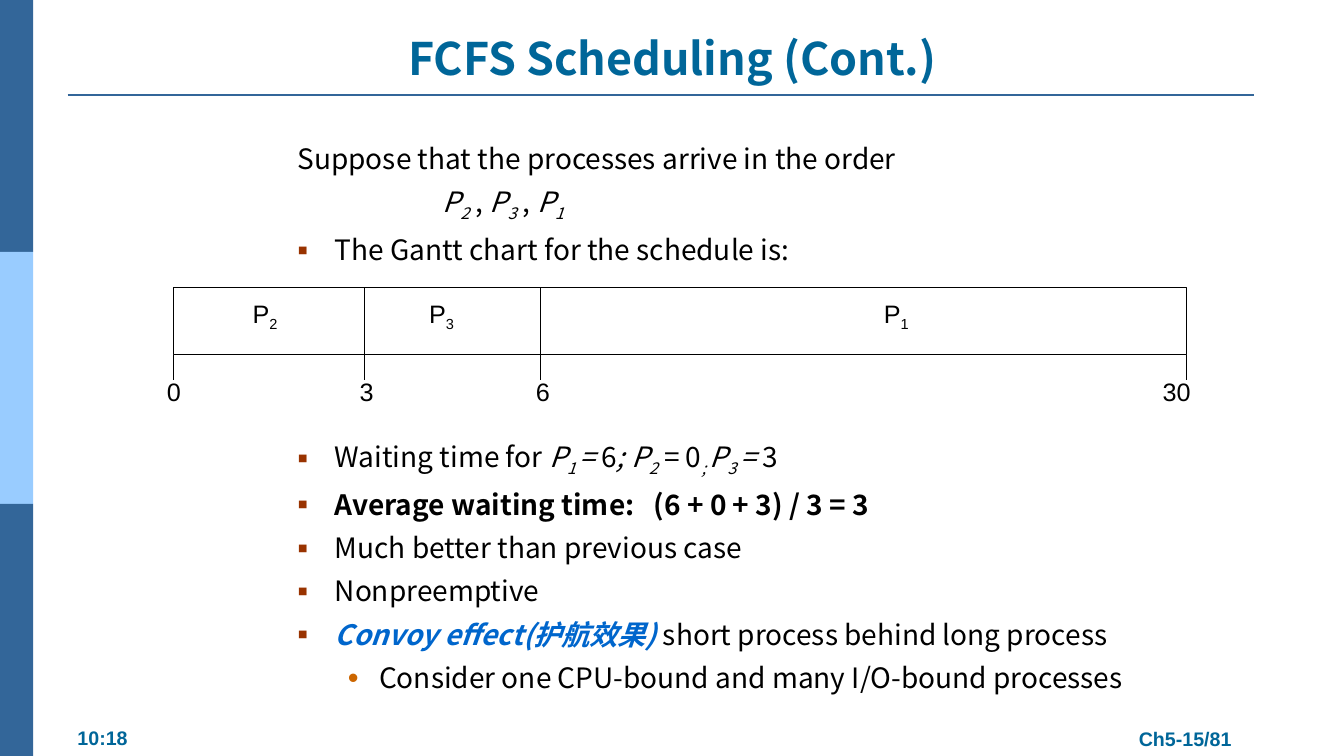
import pptx
import pptx.dml.color
import pptx.enum.shapes
import pptx.enum.text
import pptx.oxml.ns
import pptx.util
from lxml import etree

Inches = pptx.util.Inches
Pt = pptx.util.Pt
ALIGN = pptx.enum.text.PP_ALIGN
ANCHOR = pptx.enum.text.MSO_ANCHOR
COLORS = {
    "band": "336699", "band_light": "99CCFF", "heading": "006699",
    "text": "000000", "paper": "FFFFFF", "key_term": "0066CC",
    "square": "993300", "dot": "CC6600",
}
HEAD_FONT = "Noto Sans CJK SC"
LABEL_FONT = "Arial"

ORDER = [("P", "i"), ("2", "is"), (" , ", ""), ("P", "i"), ("3", "is"),
         (" , ", ""), ("P", "i"), ("1", "is")]
WAITING = [("Waiting time for ", ""), ("P", "i"), ("1 ", "is"), ("=", "i"),
           (" 6", ""), ("; P", "i"), ("2", "is"), (" = 0", ""), ("; ", "is"),
           ("P", "i"), ("3 ", "is"), ("= ", "i"), ("3", "")]
AVERAGE = [("Average waiting time:", "b"), (" ", "bw"),
           ("(6 + 0 + 3) / 3 = 3", "b")]
CONVOY = [("Convoy effect(护航效果) ", "bik"),
          ("short process behind long process", "")]

SQUARE = ("▪", "square", 0.37, -0.37)
DOT = ("•", "dot", 0.81, -0.31)
GAP = 7
CHART_GAP = 123.5
BODY = [
    ([("Suppose that the processes arrive in the order", "")],
     (None, None, 0.37, -0.37), 0),
    (ORDER, (None, None, 1.44, 0), GAP),
    ([("The Gantt chart for the schedule is:", "")], SQUARE, GAP),
    (WAITING, SQUARE, CHART_GAP),
    (AVERAGE, SQUARE, GAP),
    ([("Much better than previous case", "")], SQUARE, GAP),
    ([("Nonpreemptive", "")], SQUARE, GAP),
    (CONVOY, SQUARE, GAP),
    ([("Consider one CPU-bound and many I/O-bound processes", "")], DOT, GAP),
]


def rgb(name):
    return pptx.dml.color.RGBColor.from_string(COLORS[name])


def sub(parent, tag, **attributes):
    return etree.SubElement(parent, pptx.oxml.ns.qn(tag), **attributes)


def add_run(paragraph, text, size, font, color="text", style=""):
    run = paragraph.add_run()
    run.text = text
    run.font.size = Pt(size)
    run.font.bold = "b" in style
    run.font.italic = "i" in style
    run.font.color.rgb = rgb("key_term" if "k" in style else color)
    run.font.name = font
    properties = run.font._element
    sub(properties, "a:ea", typeface=font)
    if "s" in style:
        properties.set("baseline", "-25000")
    if "w" in style:
        properties.set("spc", "900")


def set_bullet(paragraph, char, color, margin, indent):
    properties = paragraph._p.get_or_add_pPr()
    properties.set("marL", str(Inches(margin)))
    properties.set("indent", str(Inches(indent)))
    if char is None:
        sub(properties, "a:buNone")
        return
    sub(sub(properties, "a:buClr"), "a:srgbClr", val=COLORS[color])
    sub(properties, "a:buSzPct", val="110000")
    sub(properties, "a:buChar", char=char)


def place(shape, left, top, width, height):
    shape.left, shape.top = Inches(left), Inches(top)
    shape.width, shape.height = Inches(width), Inches(height)


def add_rect(shapes, left, top, width, height, fill, line=None):
    rect = shapes.add_shape(
        pptx.enum.shapes.MSO_SHAPE.RECTANGLE,
        Inches(left), Inches(top), Inches(width), Inches(height))
    rect.shadow.inherit = False
    rect.fill.solid()
    rect.fill.fore_color.rgb = rgb(fill)
    if line:
        rect.line.color.rgb = rgb(line)
        rect.line.width = Pt(0.75)
    else:
        rect.line.fill.background()


def add_line(shapes, x1, y1, x2, y2, color, width):
    line = shapes.add_connector(
        pptx.enum.shapes.MSO_CONNECTOR.STRAIGHT,
        Inches(x1), Inches(y1), Inches(x2), Inches(y2))
    line.line.color.rgb = rgb(color)
    line.line.width = Pt(width)
    sub(line._element.spPr, "a:effectLst")


def add_label(shapes, left, top, width, height, runs, size=18,
              color="text", align=ALIGN.CENTER, anchor=ANCHOR.MIDDLE):
    label = shapes.add_textbox(
        Inches(left), Inches(top), Inches(width), Inches(height))
    label.text_frame.word_wrap = False
    label.text_frame.vertical_anchor = anchor
    paragraph = label.text_frame.paragraphs[0]
    paragraph.alignment = align
    for text, style in runs:
        add_run(paragraph, text, size, LABEL_FONT, color, style)


def add_frame(shapes):
    for index, fill in enumerate(("band", "band_light", "band")):
        add_rect(shapes, 0, 2.5 * index, 0.33, 2.5, fill)
    add_line(shapes, 0.67, 0.94, 12.44, 0.94, "band", 1.5)
    add_label(shapes, 11.18, 7.16, 1.15, 0.34, [("Ch5-15/81", "b")], 14,
              "heading", anchor=ANCHOR.TOP)
    add_label(shapes, 0.67, 7.15, 0.7, 0.34, [("10:18", "b")], 14,
              "heading", ALIGN.LEFT, ANCHOR.TOP)


def fill_title(title):
    place(title, 0.67, 0.26, 12, 0.63)
    title.text_frame.auto_size = pptx.enum.text.MSO_AUTO_SIZE.NONE
    title.text_frame.vertical_anchor = ANCHOR.BOTTOM
    paragraph = title.text_frame.paragraphs[0]
    paragraph.alignment = ALIGN.CENTER
    add_run(paragraph, "FCFS Scheduling (Cont.)", 32, HEAD_FONT,
            "heading", "b")


def fill_body(body):
    place(body, 2.85, 1.35, 9.82, 5.64)
    frame = body.text_frame
    frame.auto_size = pptx.enum.text.MSO_AUTO_SIZE.NONE
    frame.word_wrap = True
    for index, (runs, bullet, gap) in enumerate(BODY):
        paragraph = frame.add_paragraph() if index else frame.paragraphs[0]
        paragraph.level = 1 if bullet is DOT else 0
        set_bullet(paragraph, *bullet)
        paragraph.space_before = Pt(gap)
        for text, style in runs:
            add_run(paragraph, text, 20, HEAD_FONT, style=style)


def add_gantt(slide):
    shapes = slide.shapes.add_group_shape().shapes
    top, bottom, tick_end = 2.85, 3.52, 3.77
    edges = [1.72, 3.62, 5.36, 11.77]
    add_rect(shapes, edges[0], top, edges[-1] - edges[0], bottom - top,
             "paper", "text")
    for edge in edges[1:-1]:
        add_line(shapes, edge, top, edge, bottom, "text", 0.75)
    for edge in edges:
        add_line(shapes, edge, bottom, edge, tick_end, "text", 0.75)
    for number, left in (("2", 2.23), ("3", 3.98), ("1", 8.49)):
        add_label(shapes, left, 2.93, 0.8, 0.4, [("P", ""), (number, "s")])
    for time, left, width in (("0", 1.43, 0.59), ("3", 3.34, 0.59),
                              ("6", 5.09, 0.59), ("30", 11.25, 0.84)):
        add_label(shapes, left, 3.68, width, 0.4, [(time, "")])


def main():
    deck = pptx.Presentation()
    deck.slide_width, deck.slide_height = Inches(13.33), Inches(7.5)
    slide = deck.slides.add_slide(deck.slide_layouts[1])
    add_frame(slide.shapes)
    fill_title(slide.shapes.title)
    fill_body(slide.placeholders[1])
    add_gantt(slide)
    deck.save("out.pptx")


if __name__ == "__main__":
    main()
